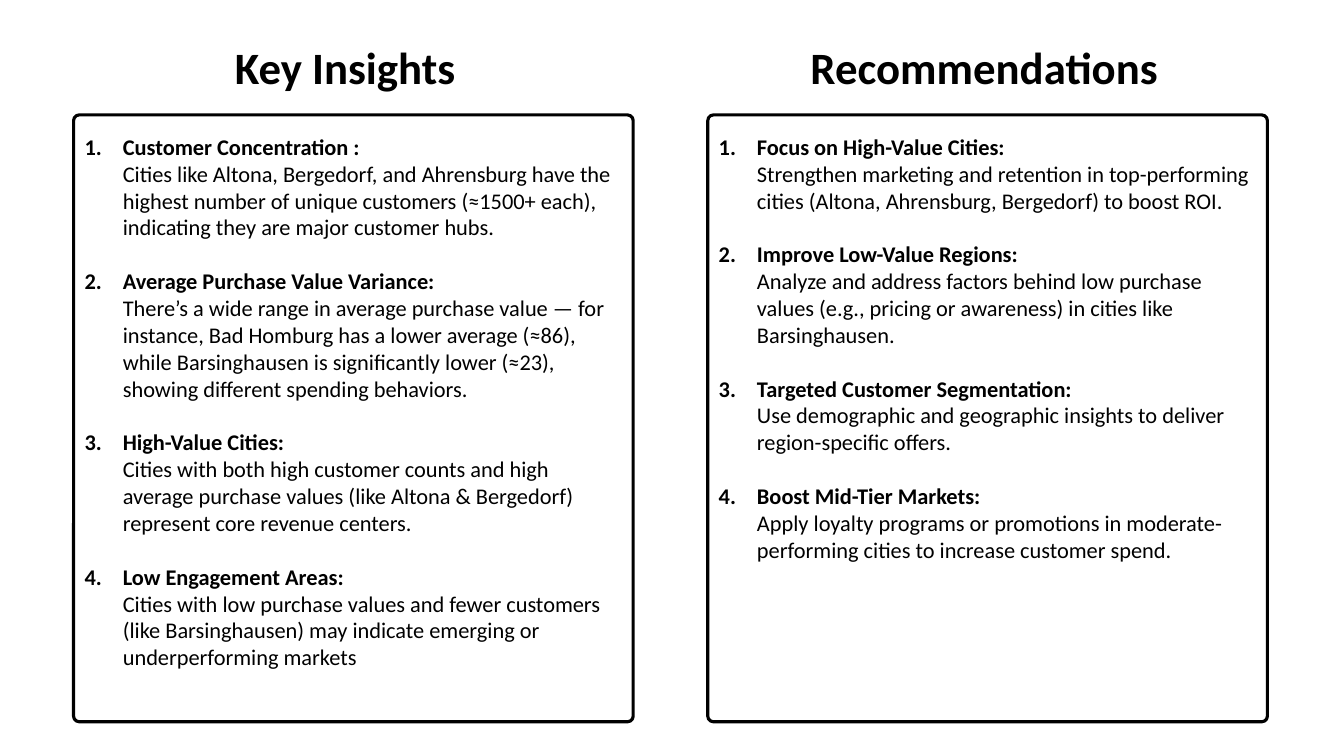
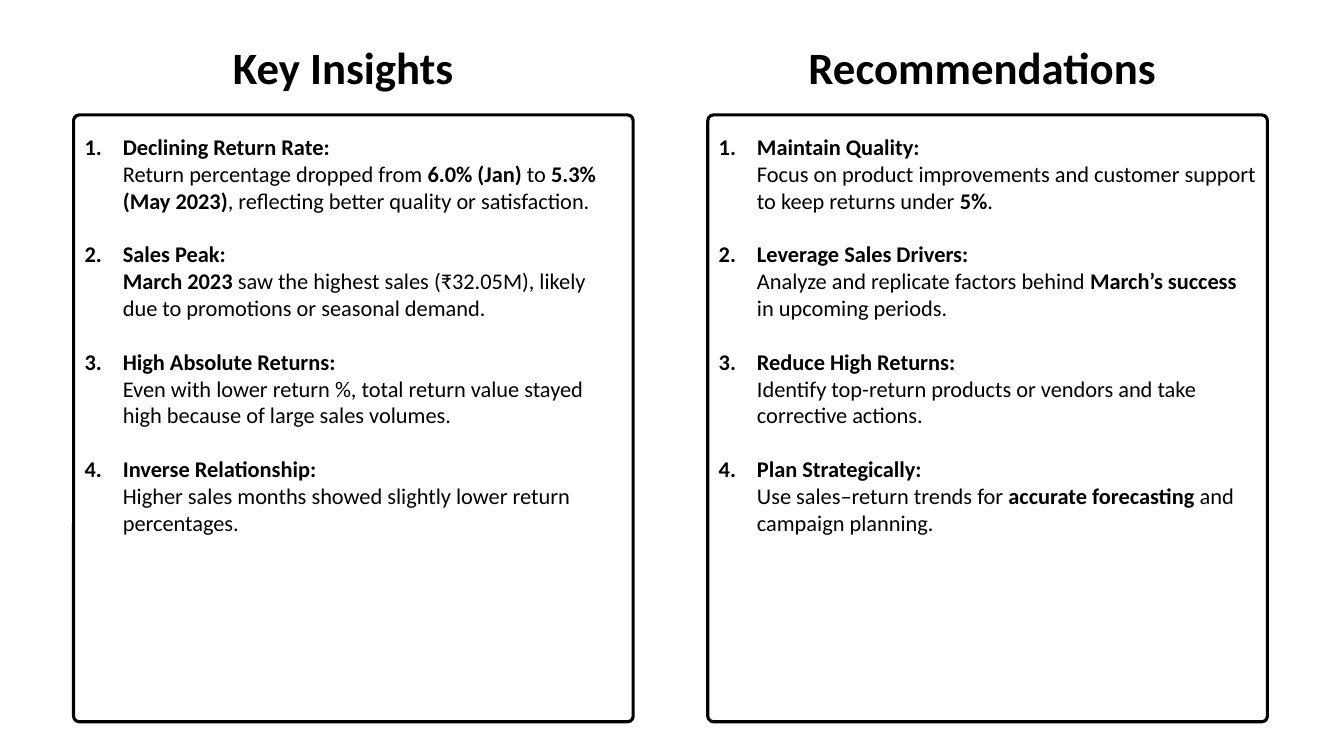
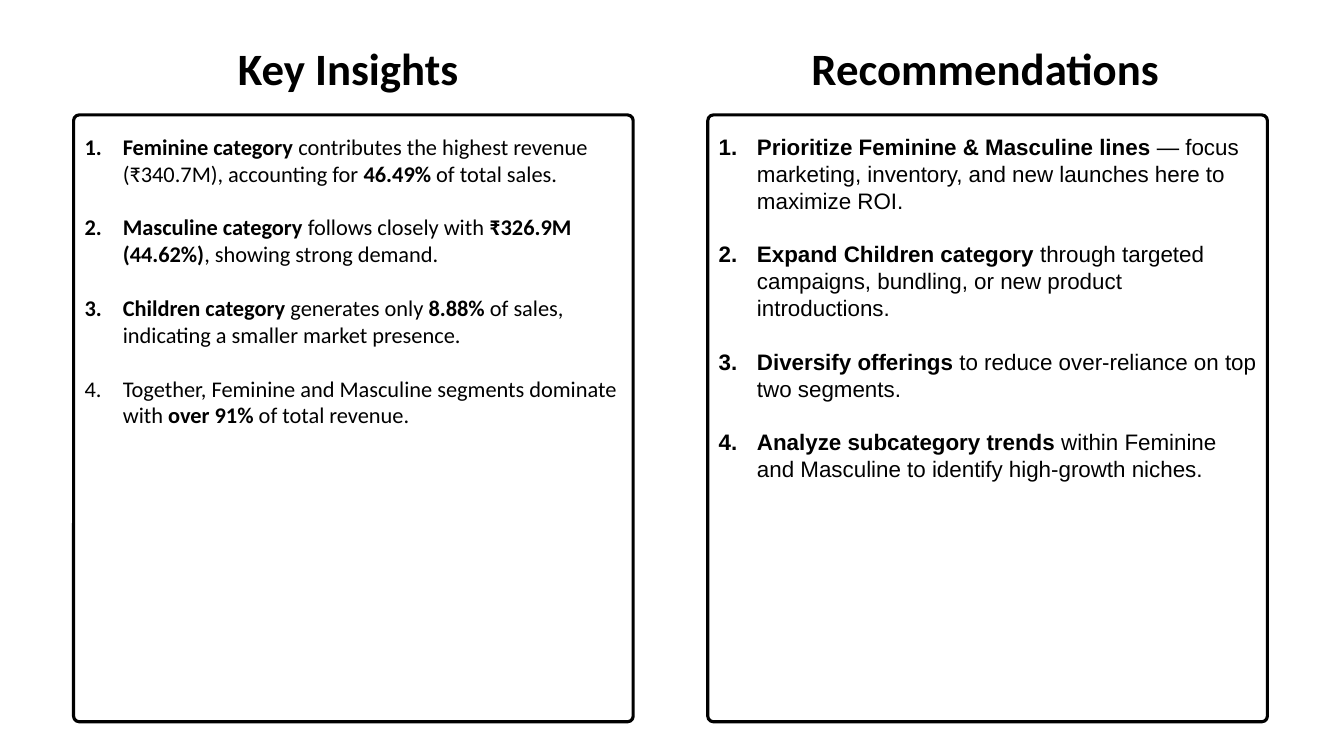
from lxml import etree
from pptx import Presentation
from pptx.dml.color import RGBColor
from pptx.enum import shapes, text
from pptx.oxml.ns import qn
from pptx.util import Inches, Pt

BLACK = RGBColor(0, 0, 0)

SLIDES = [
    {
        "top": 0.34,
        "columns": [
            ("Key Insights", 2.23, "Calibri", [
                "*Customer Concentration :\n*Cities like Altona, Bergedorf, and Ahrensburg have the highest "
                "number of unique customers (≈1500+ each), indicating they are major customer hubs.",
                "*Average Purchase Value Variance:\n*There’s a wide range in average purchase value — for "
                "instance, Bad Homburg has a lower average (≈86), while Barsinghausen is significantly "
                "lower (≈23), showing different spending behaviors.",
                "*High-Value Cities:\n*Cities with both high customer counts and high average purchase "
                "values (like Altona & Bergedorf) represent core revenue centers.",
                "*Low Engagement Areas:\n*Cities with low purchase values and fewer customers (like "
                "Barsinghausen) may indicate emerging or underperforming markets",
            ]),
            ("Recommendations", 7.94, "Calibri", [
                "*Focus on High-Value Cities:\n*Strengthen marketing and retention in top-performing "
                "cities (Altona, Ahrensburg, Bergedorf) to boost ROI.",
                "*Improve Low-Value Regions:\n*Analyze and address factors behind low purchase values "
                "(e.g., pricing or awareness) in cities like Barsinghausen.",
                "*Targeted Customer Segmentation:\n*Use demographic and geographic insights to deliver "
                "region-specific offers.",
                "*Boost Mid-Tier Markets:\n*Apply loyalty programs or promotions in moderate-performing "
                "cities to increase customer spend.",
            ]),
        ],
    },
    {
        "top": 0.34,
        "columns": [
            ("Key Insights", 2.21, "Calibri", [
                "*Declining Return Rate:\n*Return percentage dropped from *6.0% (Jan)* to "
                "*5.3% (May 2023)*, reflecting better quality or satisfaction.",
                "*Sales Peak:\nMarch 2023* saw the highest sales (₹32.05M), likely due to promotions "
                "or seasonal demand.",
                "*High Absolute Returns:\n*Even with lower return %, total return value stayed high "
                "because of large sales volumes.",
                "*Inverse Relationship:\n*Higher sales months showed slightly lower return percentages.",
            ]),
            ("Recommendations", 7.92, "Calibri", [
                "*Maintain Quality:\n*Focus on product improvements and customer support to keep "
                "returns under *5%*.",
                "*Leverage Sales Drivers:\n*Analyze and replicate factors behind *March’s success* in "
                "upcoming periods.",
                "*Reduce High Returns:\n*Identify top-return products or vendors and take corrective "
                "actions.",
                "*Plan Strategically:\n*Use sales–return trends for *accurate forecasting* and campaign "
                "planning.",
            ]),
        ],
    },
    {
        "top": 0.35,
        "columns": [
            ("Key Insights", 2.26, "Calibri", [
                "*Feminine category* contributes the highest revenue (₹340.7M), accounting for "
                "*46.49%* of total sales.",
                "*Masculine category* follows closely with *₹326.9M (44.62%)*, showing strong demand.",
                "*Children category* generates only *8.88%* of sales, indicating a smaller market "
                "presence.",
                "Together, Feminine and Masculine segments dominate with *over 91%* of total revenue.",
            ]),
            ("Recommendations", 7.95, "Arial", [
                "*Prioritize Feminine & Masculine lines* — focus marketing, inventory, and new launches "
                "here to maximize ROI.",
                "*Expand Children category* through targeted campaigns, bundling, or new product "
                "introductions.",
                "*Diversify offerings* to reduce over-reliance on top two segments.",
                "*Analyze subcategory trends* within Feminine and Masculine to identify high-growth "
                "niches.",
            ]),
        ],
    },
]


class Deck:
    """Holds the shared style and the current slide; *stars* mark bold text."""

    heading_size = Pt(32)
    body_size = Pt(16)
    line_height = Pt(19.2)
    indent = Inches(0.38)
    frame_lefts = (0.73, 7.02)

    def __init__(self):
        self.prs = Presentation()
        self.prs.slide_width, self.prs.slide_height = Inches(13.33), Inches(7.5)
        self.slide = None

    def new_slide(self):
        self.slide = self.prs.slides.add_slide(self.prs.slide_layouts[5])

    def place(self, sp, left, top, width, height):
        sp.left, sp.top, sp.width, sp.height = map(Inches, (left, top, width, height))
        tf = sp.text_frame
        tf.word_wrap = True
        tf.auto_size = text.MSO_AUTO_SIZE.NONE
        tf.vertical_anchor = text.MSO_ANCHOR.TOP
        return tf

    def text_box(self):
        return self.slide.shapes.add_textbox(0, 0, 0, 0)

    def run(self, p, words, size, bold, font="Calibri"):
        r = p.add_run()
        r.text = words
        r.font.name, r.font.size, r.font.bold = font, size, bold
        r.font.color.rgb = BLACK

    def heading(self, sp, words, left, top):
        tf = self.place(sp, left, top, 3.8, 0.64)
        p = tf.paragraphs[0]
        p.alignment = text.PP_ALIGN.LEFT
        self.run(p, words, self.heading_size, True)

    def frame(self, left):
        sp = self.slide.shapes.add_shape(
            shapes.MSO_SHAPE.ROUNDED_RECTANGLE,
            Inches(left), Inches(1.14), Inches(5.55), Inches(6.02))
        sp.adjustments[0] = 0.01
        sp.shadow.inherit = False
        sp.fill.background()
        sp.line.color.rgb = BLACK
        sp.line.width = Pt(2.25)

    def number(self, p):
        pPr = p._p.get_or_add_pPr()
        pPr.set("marL", str(self.indent))
        pPr.set("indent", str(-self.indent))
        etree.SubElement(pPr, qn("a:buFont"), typeface="+mj-lt")
        etree.SubElement(pPr, qn("a:buAutoNum"), type="arabicPeriod")

    def numbered_list(self, left, items, font):
        tf = self.place(self.text_box(), left, 1.27, 5.54, 5.76)
        for i, item in enumerate(items):
            p = tf.add_paragraph() if i else tf.paragraphs[0]
            p.line_spacing = p.space_after = self.line_height
            self.number(p)
            for j, part in enumerate(item.split("*")):
                for k, line in enumerate(part.split("\n")):
                    if k:
                        p.add_line_break()
                    if line:
                        self.run(p, line, self.body_size, j % 2 == 1, font)

    def column(self, i, top, title, title_left, font, items):
        sp = self.text_box() if i else self.slide.shapes.title
        self.heading(sp, title, title_left, top)
        self.frame(self.frame_lefts[i])
        self.numbered_list(self.frame_lefts[i] + 0.01, items, font)


def main():
    deck = Deck()
    for content in SLIDES:
        deck.new_slide()
        for i, column in enumerate(content["columns"]):
            deck.column(i, content["top"], *column)
    deck.prs.save("out.pptx")


if __name__ == "__main__":
    main()
